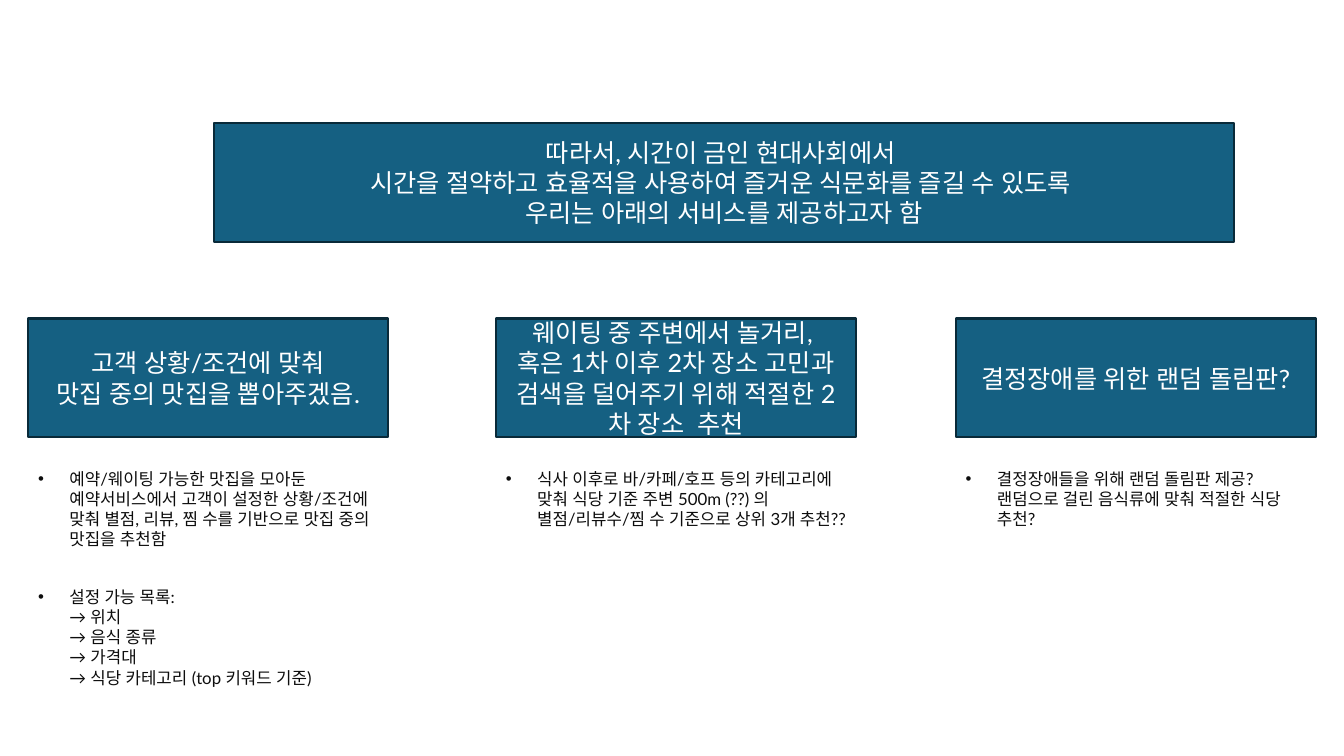
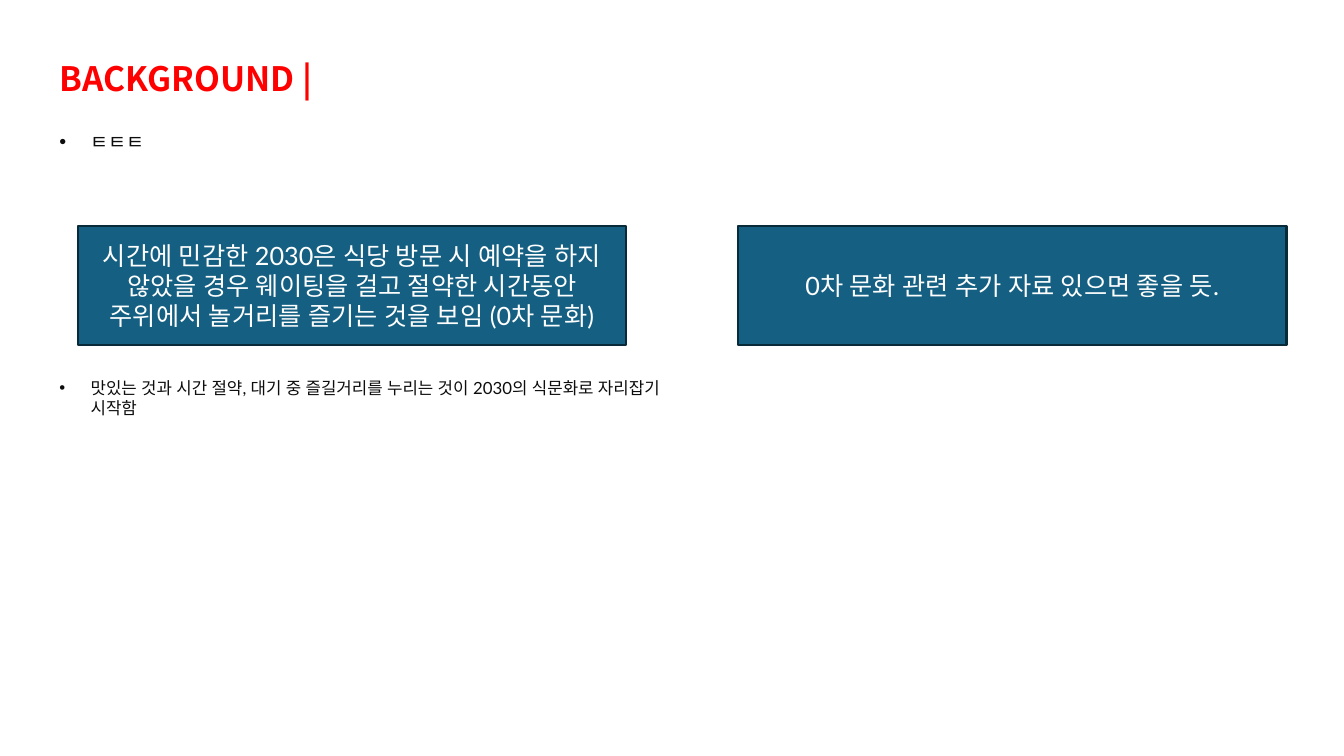
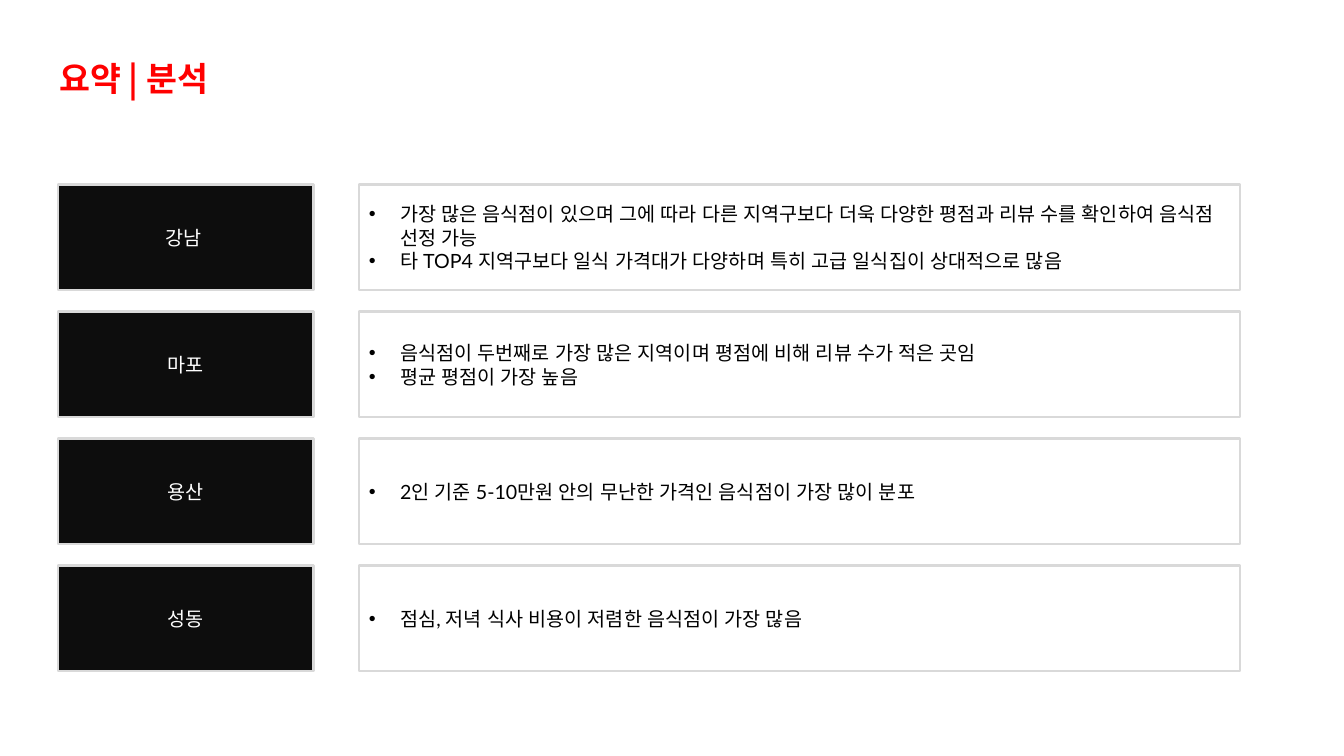
import copy

import pptx
import pptx.dml.color
import pptx.enum.shapes
import pptx.enum.text
import pptx.oxml.ns
import pptx.util
from lxml import etree

PX = 9144
WHITE = pptx.dml.color.RGBColor(0xFF, 0xFF, 0xFF)
BLACK = pptx.dml.color.RGBColor(0x00, 0x00, 0x00)
INK = pptx.dml.color.RGBColor(0x0D, 0x0D, 0x0D)
RED = pptx.dml.color.RGBColor(0xFF, 0x00, 0x00)
TEAL = pptx.dml.color.RGBColor(0x15, 0x60, 0x82)
NAVY = pptx.dml.color.RGBColor(0x09, 0x2A, 0x39)
GREY = pptx.dml.color.RGBColor(0xD9, 0xD9, 0xD9)
BODY_FONT = "Lato"
TITLE_FONT = "Noto Sans CJK KR"
INDENT = 31


def write(shape, paragraphs, size, colour, font=BODY_FONT, bold=False, bulleted=False, align="LEFT", anchor="MIDDLE"):
    qn = pptx.oxml.ns.qn
    frame = shape.text_frame
    frame.word_wrap = True
    frame.vertical_anchor = getattr(pptx.enum.text.MSO_ANCHOR, anchor)
    for index, text in enumerate(paragraphs):
        paragraph = frame.add_paragraph() if index else frame.paragraphs[0]
        paragraph.text = text
        paragraph.alignment = getattr(pptx.enum.text.PP_ALIGN, align)
        if bulleted:
            properties = paragraph._p.get_or_add_pPr()
            properties.set("marL", str(INDENT * PX))
            properties.set("indent", str(-INDENT * PX))
            etree.SubElement(properties, qn("a:buFont"), typeface="Arial")
            etree.SubElement(properties, qn("a:buChar"), char="•")
        for run in paragraph.runs:
            run.font.size = pptx.util.Pt(size)
            run.font.bold = bold
            run.font.color.rgb = colour
            run.font.name = font
            etree.SubElement(run._r.rPr, qn("a:ea"), typeface=font)
        for line_break in paragraph._p.findall(qn("a:br")):
            line_break.insert(0, copy.deepcopy(paragraph.runs[0]._r.rPr))


def add_box(slide, bounds, paragraphs, fill=None, outline=None, **style):
    left, top, width, height = [length * PX for length in bounds]
    if fill is None:
        box = slide.shapes.add_textbox(left, top, width, height)
    else:
        box = slide.shapes.add_shape(pptx.enum.shapes.MSO_SHAPE.RECTANGLE, left, top, width, height)
        box.shadow.inherit = False
        box.fill.solid()
        box.fill.fore_color.rgb = fill
        box.line.color.rgb = outline
        box.line.width = pptx.util.Pt(1.5)
    write(box, paragraphs, **style)


BANNER = dict(fill=TEAL, outline=NAVY, size=18, colour=WHITE, align="CENTER")
NOTE = dict(size=12, colour=INK, bulleted=True, anchor="TOP")
TITLE = dict(size=24, colour=RED, font=TITLE_FONT, bold=True)
REGION = dict(fill=INK, outline=GREY, size=14, colour=WHITE, align="CENTER")
FINDING = dict(fill=WHITE, outline=GREY, size=14, colour=BLACK, bulleted=True)
BANNER_HEIGHT = 118

deck = pptx.Presentation()
deck.slide_width = 1333 * PX
deck.slide_height = 750 * PX
blank = deck.slide_layouts[6]

services = deck.slides.add_slide(blank)
add_box(services, (212, 122, 1012, BANNER_HEIGHT), [
    "따라서, 시간이 금인 현대사회에서 \v"
    "시간을 절약하고 효율적을 사용하여 즐거운 식문화를 즐길 수 있도록 \v"
    "우리는 아래의 서비스를 제공하고자 함"], **BANNER)

offers = [
    (28, ["고객 상황/조건에 맞춰", "맛집 중의 맛집을 뽑아주겠음."],
     [(460, 91, "예약/웨이팅 가능한 맛집을 모아둔 예약서비스에서 고객이 설정한 상황/조건에 맞춰 별점, 리뷰, 찜 수를 기반으로 맛집 중의 맛집을 추천함"),
      (577, 131, "설정 가능 목록:\v→ 위치\v→ 음식 종류\v→ 가격대\v→ 식당 카테고리 (top 키워드 기준)")]),
    (492, ["웨이팅 중 주변에서 놀거리, ", "혹은 1차 이후 2차 장소 고민과 검색을 덜어주기 위해 적절한 2차 장소  추천"],
     [(460, 91, "식사 이후로 바/카페/호프 등의 카테고리에 맞춰 식당 기준 주변 500m (??) 의 별점/리뷰수/찜 수 기준으로 상위 3개 추천??")]),
    (948, ["결정장애를 위한 랜덤 돌림판?"],
     [(460, 71, "결정장애들을 위해 랜덤 돌림판 제공? 랜덤으로 걸린 음식류에 맞춰 적절한 식당 추천?")]),
]
for left, heading, notes in offers:
    add_box(services, (left, 316, 357, BANNER_HEIGHT), heading, **BANNER)
    for top, height, note in notes:
        add_box(services, (left, top, 357, height), [note], **NOTE)

background = deck.slides.add_slide(blank)
add_box(background, (49, 51, 921, 52), ["BACKGROUND |"], **TITLE)
add_box(background, (49, 124, 1244, 34), ["ㅌㅌㅌ"], **{**NOTE, "size": 14, "font": TITLE_FONT})
claims = [
    (77, "시간에 민감한 2030은 식당 방문 시 예약을 하지 않았을 경우 웨이팅을 걸고 절약한 시간동안 주위에서 놀거리를 즐기는 것을 보임 (0차 문화)"),
    (732, "0차 문화 관련 추가 자료 있으면 좋을 듯."),
]
for left, claim in claims:
    add_box(background, (left, 224, 544, BANNER_HEIGHT), [claim], **BANNER)
add_box(background, (49, 370, 641, 50),
        ["맛있는 것과 시간 절약, 대기 중 즐길거리를 누리는 것이 2030의 식문화로 자리잡기 시작함"], **NOTE)

summary = deck.slides.add_slide(blank)
add_box(summary, (49, 51, 1018, 52), ["요약 | 분석"], **TITLE)
regions = [
    ("강남 ", ["가장 많은 음식점이 있으며 그에 따라 다른 지역구보다 더욱 다양한 평점과 리뷰 수를 확인하여 음식점 선정 가능",
             "타 TOP4 지역구보다 일식 가격대가 다양하며 특히 고급 일식집이 상대적으로 많음"]),
    ("마포", ["음식점이 두번째로 가장 많은 지역이며 평점에 비해 리뷰 수가 적은 곳임", "평균 평점이 가장 높음"]),
    ("용산", ["2인 기준 5-10만원 안의 무난한 가격인 음식점이 가장 많이 분포"]),
    ("성동", ["점심, 저녁 식사 비용이 저렴한 음식점이 가장 많음"]),
]
for row, (region, findings) in enumerate(regions):
    top = 183 + 126 * row
    add_box(summary, (58, top, 253, 105), [region], **REGION)
    add_box(summary, (356, top, 874, 105), findings, **FINDING)

deck.save("out.pptx")
